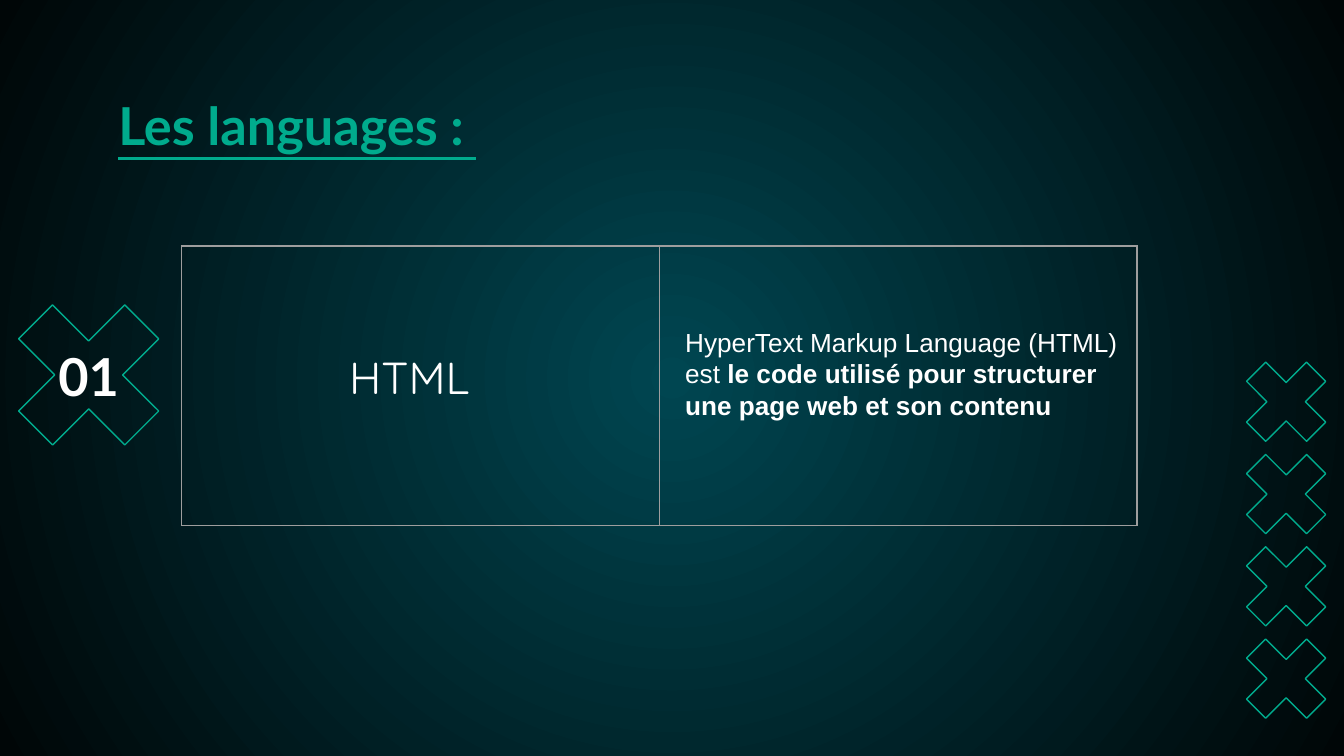
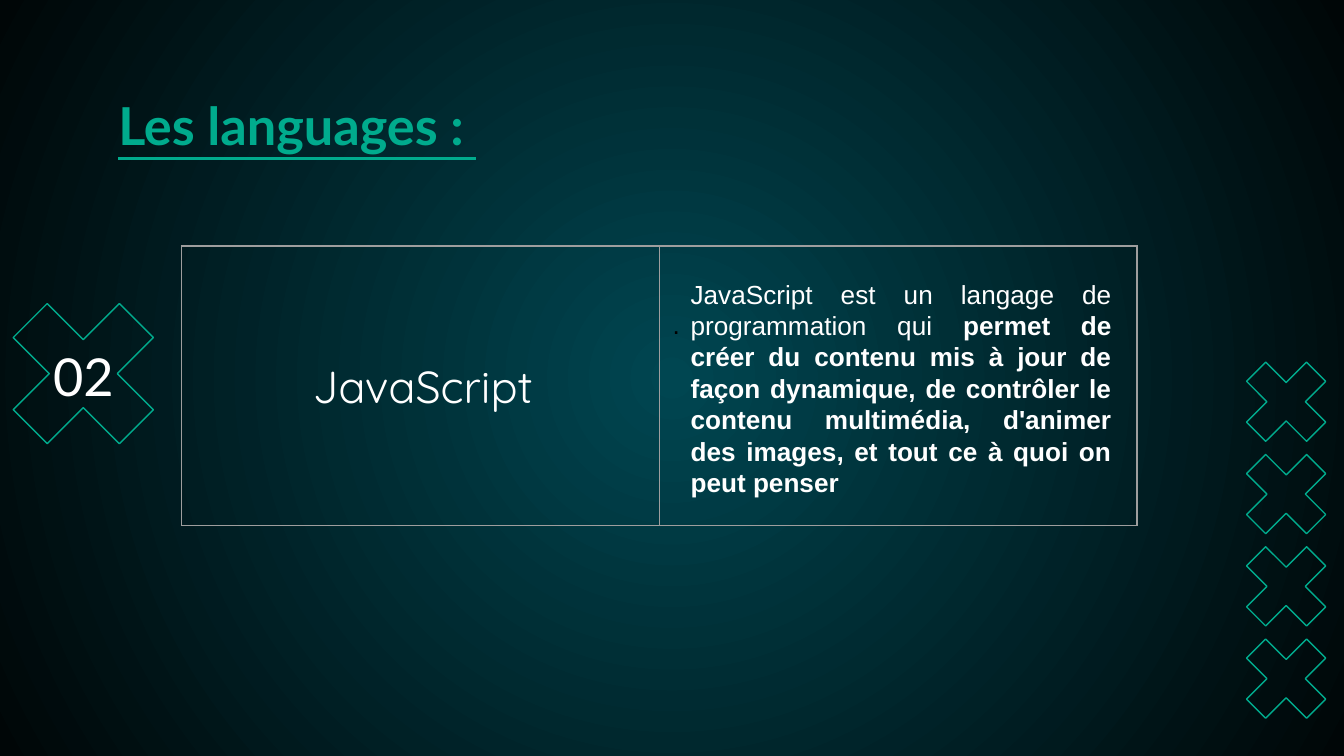
"""Builds two slides presenting web languages."""
import lxml.etree
import pptx
import pptx.dml.color
import pptx.enum.shapes
import pptx.enum.text
import pptx.oxml.ns
import pptx.util

WIDTH = pptx.util.Inches(10)
HEIGHT = WIDTH * 9 // 16
COLUMNS = 100
UNIT = WIDTH // COLUMNS
GREEN, WHITE, BLACK, GREY = "00AB8D", "FFFFFF", "000000", "9E9E9E"
GLOW, NIGHT = "004651", "000607"
ALIGN = pptx.enum.text.PP_ALIGN
ANCHOR = pptx.enum.text.MSO_ANCHOR
FIT = pptx.enum.text.MSO_AUTO_SIZE

TITLE = {"name": "Lato", "size": 28, "color": GREEN, "bold": True, "underline": True}
NUMBER = {"name": "Lato", "size": 28, "color": WHITE}
NAME = {"name": "Quicksand", "size": 24, "color": WHITE}
BODY = {"name": "Arial", "size": 14, "color": WHITE}
STRONG = {**BODY, "bold": True}

LANGUAGES = [
    {
        "number": "01", "number_format": {**NUMBER, "bold": True},
        "cross": (-1, 20.3), "name": "HTML", "name_at": (25, 25.5, 11.5, 7.4),
        "text_at": (50, 23.8, 34.6, 10.4), "align": ALIGN.LEFT,
        "spans": [
            ("HyperText Markup Language (HTML) est ", BODY),
            ("le code utilisé pour structurer une page web et son contenu", STRONG),
        ],
    },
    {
        "number": "02", "number_format": NUMBER,
        "cross": (-1.4, 20.2), "name": "JavaScript", "name_at": (22.3, 26.2, 19.7, 7.4),
        "text_at": (50.4, 20.2, 33.3, 17.5), "align": ALIGN.JUSTIFY, "mark": ".",
        "spans": [
            ("JavaScript est un langage de programmation qui ", BODY),
            ("permet de créer du contenu mis à jour de façon dynamique, de contrôler "
             "le contenu multimédia, d'animer des images, et tout ce à quoi on peut penser",
             STRONG),
        ],
    },
]


def rgb(value):
    """Return the colour for a hex string."""
    return pptx.dml.color.RGBColor.from_string(value)


def grid(*cells):
    """Convert grid cells to slide lengths."""
    return [round(cell * UNIT) for cell in cells]


def apply(target, values):
    """Set attributes of an object from a dict."""
    for key, value in values.items():
        setattr(target, key, value)


def write(frame, spans, align=ALIGN.LEFT):
    """Write formatted spans into the first paragraph of a frame."""
    para = frame.paragraphs[0]
    para.alignment = align
    for text, values in spans:
        span = para.add_run()
        span.text = text
        font = dict(values, size=pptx.util.Pt(values["size"]))
        span.font.color.rgb = rgb(font.pop("color"))
        apply(span.font, font)


def inset(frame, cells):
    """Set the same margin on all sides of a frame."""
    margin, = grid(cells)
    apply(frame, {f"margin_{side}": margin for side in ("left", "right", "top", "bottom")})


def add_text(page, at, spans, align=ALIGN.LEFT, wrap=True, fit=FIT.SHAPE_TO_FIT_TEXT):
    """Add a text box and return its frame."""
    frame = page.shapes.add_textbox(*grid(*at)).text_frame
    apply(frame, {"word_wrap": wrap, "auto_size": fit})
    write(frame, spans, align)
    return frame


def add_cross(page, left, top, size):
    """Add an outlined cross."""
    cross = page.shapes.add_shape(
        pptx.enum.shapes.MSO_SHAPE.MATH_MULTIPLY, *grid(left, top, size, size))
    cross.adjustments[0] = 0.235
    cross.shadow.inherit = False
    cross.fill.background()
    cross.line.color.rgb = rgb(GREEN)
    cross.line.width = pptx.util.Pt(0.75)
    return cross


def add_element(parent, tag, **attributes):
    """Append a drawing element to a parent."""
    return lxml.etree.SubElement(parent, pptx.oxml.ns.qn(tag), attributes)


def add_borders(cell):
    """Draw thin grey borders around a cell."""
    properties = cell._tc.get_or_add_tcPr()
    for side in "LRTB":
        line = add_element(properties, f"a:ln{side}", w=str(pptx.util.Pt(0.75)))
        add_element(add_element(line, "a:solidFill"), "a:srgbClr", val=GREY)


def add_frame_table(page, mark):
    """Add the bordered table of two cells with an optional mark."""
    table = page.shapes.add_table(1, 2, *grid(13.5, 18.3, 71.1, 20.8)).table
    apply(table, {"first_row": False, "horz_banding": False})
    for cell in table.iter_cells():
        add_borders(cell)
        cell.fill.background()
    if mark:
        cell = table.cell(0, 1)
        cell.margin_top, = grid(4.8)
        write(cell.text_frame, [(mark, {**BODY, "color": BLACK})], ALIGN.JUSTIFY)


def paint_background(master):
    """Give the master a radial gradient."""
    fill = master.background.fill
    fill.gradient()
    for stop, color, position in zip(fill.gradient_stops, (GLOW, NIGHT), (0, 1)):
        stop.color.rgb = rgb(color)
        stop.position = position
    gradient = master.element.xpath(".//p:bg//a:gradFill")[0]
    for linear in gradient.findall(pptx.oxml.ns.qn("a:lin")):
        gradient.remove(linear)
    circle = add_element(gradient, "a:path", path="circle")
    add_element(circle, "a:fillToRect", l="50000", t="50000", r="50000", b="50000")


def prepare_layout(layout):
    """Keep only the title on the layout and move it."""
    title, *others = layout.placeholders
    for other in others:
        other.element.getparent().remove(other.element)
    places = grid(7.8, 5.9, 84.4, 6.3)
    apply(title, dict(zip(("left", "top", "width", "height"), places)))


def decorate_layout(layout, page):
    """Place the shared column of crosses on the layout."""
    first, last, count = 25.6, 46.2, 4
    step = (last - first) / (count - 1)
    crosses = [add_cross(page, 91.4, first + step * row, 8.6) for row in range(count)]
    for cross in crosses:
        layout.shapes.element.append(cross.element)


def fill_page(page, language):
    """Fill a page with one language."""
    frame = page.shapes.title.text_frame
    apply(frame, {"vertical_anchor": ANCHOR.TOP, "auto_size": FIT.NONE})
    inset(frame, 1)
    write(frame, [("Les languages : ", TITLE)])
    add_frame_table(page, language.get("mark"))
    add_text(page, language["name_at"], [(language["name"], NAME)], wrap=False)
    add_text(page, language["text_at"], language["spans"], language["align"])
    left, top = language["cross"]
    add_cross(page, left, top, 15.2)
    number = add_text(page, (left + 2.9, 25.5, 9.4, 4.9),
                      [(language["number"], language["number_format"])],
                      ALIGN.CENTER, fit=FIT.NONE)
    number.vertical_anchor = ANCHOR.MIDDLE
    inset(number, 1)


def main():
    """Build and save the deck."""
    deck = pptx.Presentation()
    apply(deck, {"slide_width": WIDTH, "slide_height": HEIGHT})
    layout = deck.slide_layouts.get_by_name("Title Only")
    paint_background(deck.slide_master)
    prepare_layout(layout)
    pages = [deck.slides.add_slide(layout) for _ in LANGUAGES]
    decorate_layout(layout, pages[0])
    for page, language in zip(pages, LANGUAGES):
        fill_page(page, language)
    deck.save("out.pptx")


if __name__ == "__main__":
    main()
